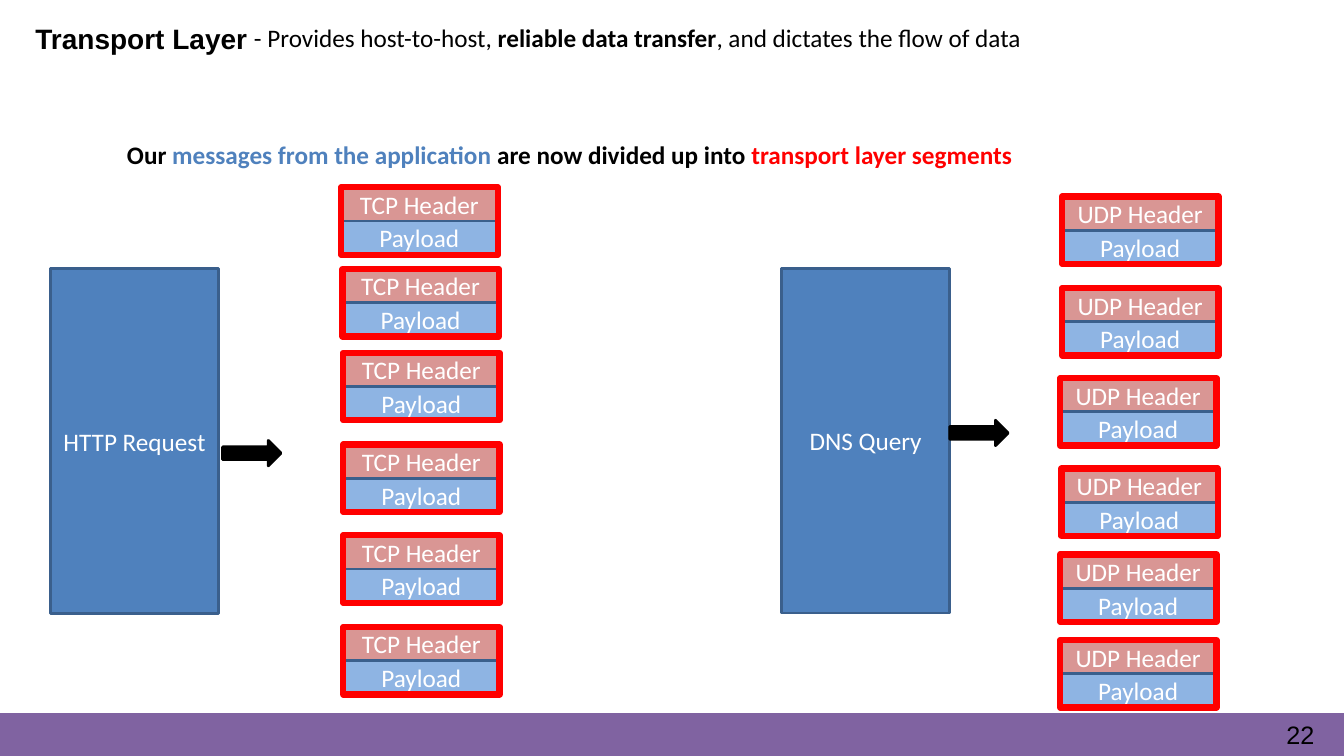
from dataclasses import dataclass

from pptx import Presentation
from pptx.dml.color import RGBColor
from pptx.enum.shapes import MSO_SHAPE
from pptx.enum.text import MSO_ANCHOR, MSO_AUTO_SIZE, PP_ALIGN
from pptx.util import Cm, Pt

RECTANGLE, RIGHT_ARROW = MSO_SHAPE.RECTANGLE, MSO_SHAPE.RIGHT_ARROW
TOP, MIDDLE = MSO_ANCHOR.TOP, MSO_ANCHOR.MIDDLE
LEFT, CENTER = PP_ALIGN.LEFT, PP_ALIGN.CENTER
NO_AUTOFIT = MSO_AUTO_SIZE.NONE


@dataclass(frozen=True)
class Theme:
    black: RGBColor = RGBColor(0x00, 0x00, 0x00)
    white: RGBColor = RGBColor(0xFF, 0xFF, 0xFF)
    message: RGBColor = RGBColor(0x4F, 0x81, 0xBD)
    outline: RGBColor = RGBColor(0x3A, 0x5F, 0x8C)
    header: RGBColor = RGBColor(0xD9, 0x96, 0x94)
    payload: RGBColor = RGBColor(0x8E, 0xB4, 0xE3)
    segment: RGBColor = RGBColor(0xFF, 0x00, 0x00)
    footer: RGBColor = RGBColor(0x80, 0x63, 0xA1)
    heading_font: str = "Arial"
    body_font: str = "Calibri"
    title_size: Pt = Pt(20)
    body_size: Pt = Pt(18)


THEME = Theme()
SLIDE_WIDTH, SLIDE_HEIGHT = 33.86, 19.05
FOOTER_TOP = 17.98
PART_WIDTH, PART_HEIGHT = 4.01, 0.85
FRAME_WIDTH, FRAME_INSET = 3.94, 0.04

# Left and top of every segment, in centimetres
TCP_SEGMENTS = [(8.56, 4.72), (8.59, 6.78), (8.61, 8.89),
                (8.61, 11.2), (8.61, 13.49), (8.61, 15.8)]
UDP_SEGMENTS = [(26.72, 4.95), (26.72, 7.26), (26.67, 9.53),
                (26.7, 11.81), (26.67, 13.97), (26.67, 16.13)]


def style_font(font, name, size, color, bold=False):
    font.name, font.size, font.bold = name, size, bold
    font.color.rgb = color


def add_block(page, kind, left, top, width, height, fill, line, weight, label=None):
    """Add a preset shape, unfilled when fill is None, with an optional label."""
    block = page.shapes.add_shape(kind, Cm(left), Cm(top), Cm(width), Cm(height))
    block.shadow.inherit = False
    if fill is None:
        block.fill.background()
    else:
        block.fill.solid()
        block.fill.fore_color.rgb = fill
    block.line.color.rgb = line
    block.line.width = Pt(weight)
    if label:
        frame = block.text_frame
        frame.word_wrap = True
        frame.vertical_anchor = MIDDLE
        para = frame.paragraphs[0]
        para.text = label
        para.alignment = CENTER
        style_font(para.font, THEME.body_font, THEME.body_size, THEME.white)


def add_sentence(page, left, top, width, spans):
    """Add one line of text from (text, color, bold) spans."""
    box = page.shapes.add_textbox(Cm(left), Cm(top), Cm(width), Cm(1.02))
    box.text_frame.word_wrap = True
    para = box.text_frame.paragraphs[0]
    for text, color, bold in spans:
        span = para.add_run()
        span.text = text
        style_font(span.font, THEME.body_font, THEME.body_size, color, bold)


def add_title(page, text):
    title = page.shapes.title
    title.left, title.top, title.width, title.height = Cm(0.28), Cm(0.28), Cm(15.62), Cm(1.12)
    frame = title.text_frame
    frame.auto_size = NO_AUTOFIT
    frame.vertical_anchor = TOP
    frame.margin_left, frame.margin_top = Cm(0.61), Cm(0.25)
    frame.margin_right = frame.margin_bottom = 0
    para = frame.paragraphs[0]
    para.text = text
    para.alignment = LEFT
    style_font(para.font, THEME.heading_font, THEME.title_size, THEME.black, True)


def add_footer(page, number):
    add_block(page, RECTANGLE, 0, FOOTER_TOP, SLIDE_WIDTH, SLIDE_HEIGHT - FOOTER_TOP,
              THEME.footer, THEME.footer, 1)
    box = page.shapes.add_textbox(Cm(31.95), Cm(18.16), Cm(1.8), Cm(0.79))
    frame = box.text_frame
    frame.word_wrap = True
    frame.margin_left = Cm(0.46)
    frame.margin_top = frame.margin_right = frame.margin_bottom = 0
    para = frame.paragraphs[0]
    para.text = number
    para.line_spacing = Pt(20.9)
    style_font(para.font, THEME.heading_font, THEME.body_size, THEME.black)


def add_segment(page, left, top, header):
    for row, (label, fill) in enumerate([(header, THEME.header), ("Payload", THEME.payload)]):
        add_block(page, RECTANGLE, left, top + row * PART_HEIGHT, PART_WIDTH, PART_HEIGHT,
                  fill, THEME.outline, 2, label)
    add_block(page, RECTANGLE, left + FRAME_INSET, top, FRAME_WIDTH, 2 * PART_HEIGHT,
              None, THEME.segment, 4.5)


def add_split(page, message, message_at, arrow_at, header, segments):
    """Add a message, its arrow and the segments it is divided into."""
    add_block(page, RECTANGLE, *message_at, 4.24, 8.69, THEME.message, THEME.outline, 2, message)
    add_block(page, RIGHT_ARROW, *arrow_at, 1.47, 0.64, THEME.black, THEME.black, 2)
    for left, top in segments:
        add_segment(page, left, top, header)


def main():
    deck = Presentation()
    deck.slide_width, deck.slide_height = Cm(SLIDE_WIDTH), Cm(SLIDE_HEIGHT)
    page = deck.slides.add_slide(deck.slide_layouts[5])

    # Footer, title and explanations
    add_footer(page, "22")
    add_title(page, "Transport Layer")
    add_sentence(page, 6.15, 0.43, 21.95, [
        ("- Provides host-to-host, ", THEME.black, False),
        ("reliable data transfer", THEME.black, True),
        (", and dictates the flow of data", THEME.black, False),
    ])
    add_sentence(page, 2.95, 3.38, 26.42, [
        ("Our ", THEME.black, True),
        ("messages from the application ", THEME.message, True),
        ("are now divided up into ", THEME.black, True),
        ("transport layer segments", THEME.segment, True),
    ])

    # Messages divided into segments
    add_split(page, "HTTP Request", (1.27, 6.77), (5.61, 11.1), "TCP Header", TCP_SEGMENTS)
    add_split(page, "DNS Query", (19.69, 6.76), (23.93, 10.59), "UDP Header", UDP_SEGMENTS)

    deck.save("out.pptx")


if __name__ == "__main__":
    main()
